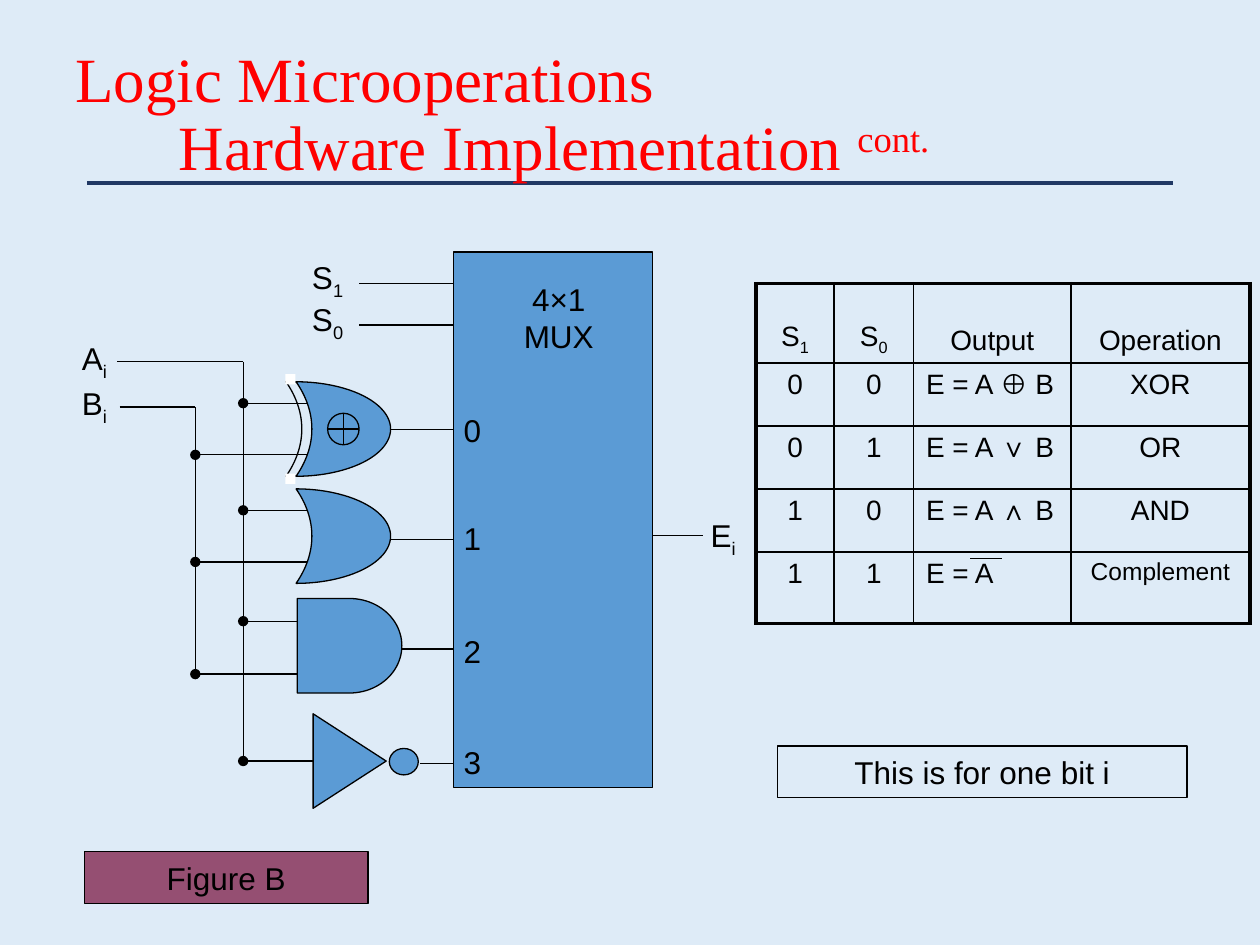
from lxml.etree import SubElement
from pptx import Presentation
from pptx.dml.color import RGBColor
from pptx.enum.shapes import MSO_CONNECTOR, MSO_SHAPE
from pptx.enum.text import MSO_ANCHOR, PP_ALIGN
from pptx.oxml import parse_xml
from pptx.oxml.ns import nsdecls, qn
from pptx.util import Inches, Pt

BACKGROUND = RGBColor(0xDE, 0xEB, 0xF7)
NAVY = RGBColor(0x20, 0x38, 0x64)
RED = RGBColor(0xFF, 0, 0)
BLUE = RGBColor(0x5B, 0x9B, 0xD5)
PLUM = RGBColor(0x95, 0x4F, 0x72)
BLACK = RGBColor(0, 0, 0)
WHITE = RGBColor(0xFF, 0xFF, 0xFF)

COLS, ROWS = 100, 75  # slide grid, one cell is a tenth of an inch
A_BUS, B_BUS = 19.3, 15.5
GATE_X, MUX_X, MUX_W = 23.5, 36, 15.8
GATE_SIZE = 7.5
THIN, THICK = 1, 2.25


def u(n):
    return int(n * Inches(10) / COLS)


def box_of(*cells):
    return [u(n) for n in cells]


def add_runs(p, parts, **fmt):
    """Write (text, baseline percent) parts; a newline is a line break."""
    fmt = {"name": "Arial", "size": Pt(18), **fmt}
    color = fmt.pop("color", BLACK)
    for text, baseline in parts:
        for i, piece in enumerate(text.split("\n")):
            if i:
                p.add_line_break()
            r = p.add_run()
            r.text = piece
            for key, value in fmt.items():
                setattr(r.font, key, value)
            r.font.color.rgb = color
            if baseline:
                r._r.get_or_add_rPr().set("baseline", str(baseline * 1000))


def add_label(s, x, y, w, h, text, sub=""):
    tf = s.shapes.add_textbox(*box_of(x, y, w, h)).text_frame
    tf.word_wrap = True
    p = tf.paragraphs[0]
    p.alignment = PP_ALIGN.CENTER
    add_runs(p, [(text, 0)] + ([(sub, -25)] if sub else []))


def add_wire(s, x1, y1, x2, y2, dot=False, color=BLACK, width=0.75):
    sp = s.shapes.add_connector(MSO_CONNECTOR.STRAIGHT, *box_of(x1, y1, x2, y2))
    sp.line.color.rgb = color
    sp.line.width = Pt(width)
    if dot:
        SubElement(sp.line._get_or_add_ln(), qn("a:tailEnd"), type="oval")
    SubElement(sp._element.spPr, qn("a:effectLst"))


def add_block(s, kind, x, y, w, h, fill=BLUE, line=BLACK, rotation=0, adj=None):
    sp = s.shapes.add_shape(kind, *box_of(x, y, w, h))
    sp.shadow.inherit = False
    sp.rotation = rotation
    if adj:
        sp.adjustments[0] = adj
    if fill is None:
        sp.fill.background()
    else:
        sp.fill.solid()
        sp.fill.fore_color.rgb = fill
    if line is None:
        sp.line.fill.background()
    else:
        sp.line.color.rgb = line
        sp.line.width = Pt(0.75)
    return sp


def add_moon(s, x, y, fill=BLUE):
    add_block(s, MSO_SHAPE.MOON, x, y, GATE_SIZE, GATE_SIZE, fill, rotation=180, adj=0.833)


def add_caption(s, x, y, w, text, fill=None):
    sp = add_block(s, MSO_SHAPE.RECTANGLE, x, y, w, 4.1, fill)
    p = sp.text_frame.paragraphs[0]
    p.alignment = PP_ALIGN.CENTER
    add_runs(p, [(text, 0)])


def set_borders(cell, widths):
    tc_pr = cell._tc.get_or_add_tcPr()
    for i, (side, width) in enumerate(zip("LRTB", widths)):
        tc_pr.insert(i, parse_xml(
            f'<a:ln{side} {nsdecls("a")} w="{Pt(width)}"><a:solidFill>'
            f'<a:srgbClr val="{BLACK}"/></a:solidFill></a:ln{side}>'))


def add_title(s):
    add_wire(s, 6.9, 14.5, 93.1, 14.5, color=NAVY, width=THICK)
    tf = s.shapes.add_textbox(*box_of(5, 3, 90, 12.5)).text_frame
    tf.word_wrap = True
    tf.vertical_anchor = MSO_ANCHOR.MIDDLE
    p = tf.paragraphs[0]
    p.line_spacing = 0.9
    p_pr = p._p.get_or_add_pPr()
    p_pr.set("marL", str(u(8.2)))
    p_pr.set("indent", str(-u(8.2)))
    add_runs(p, [("Logic Microoperations\nHardware Implementation ", 0), ("cont.", 30)],
             name="Times New Roman", size=Pt(36), color=RED)


def add_truth_table(s):
    rows = [
        ("S1", "S0", "Output", "Operation"),
        ("0", "0", "E = A ⊕ B", "XOR"),
        ("0", "1", "E = A ∨ B", "OR"),
        ("1", "0", "E = A ∧ B", "AND"),
        ("1", "1", "E = A", "Complement"),
    ]
    widths, heights = (6.2, 6.3, 12.5, 14.2), (6.3, 5, 5, 5, 5.7)
    last_row, last_col = len(rows) - 1, len(widths) - 1
    table = s.shapes.add_table(len(rows), len(widths),
                               *box_of(60, 22.5, sum(widths), sum(heights))).table
    table.first_row = table.horz_banding = False
    for col, w in zip(table.columns, widths):
        col.width = u(w)
    for row, h in zip(table.rows, heights):
        row.height = u(h)
    for i, texts in enumerate(rows):
        for j, text in enumerate(texts):
            cell = table.cell(i, j)
            cell.fill.background()
            if i == 0:
                cell.vertical_anchor = MSO_ANCHOR.BOTTOM
            p = cell.text_frame.paragraphs[0]
            p.alignment = PP_ALIGN.LEFT if i and j == 2 else PP_ALIGN.CENTER
            parts = [("S", 0), (text[1:], -25)] if i == 0 and j < 2 else [(text, 0)]
            add_runs(p, parts, size=Pt(14 if text == "Complement" else 16))
            outer = (j == 0, j == last_col, i == 0, i == last_row)
            set_borders(cell, [THICK if edge else THIN for edge in outer])
    # Bar over the complemented A
    add_wire(s, 77, 44.3, 79.5, 44.3)


def add_wiring(s):
    # Gate inputs (A, B) tapped from the buses, and gate outputs
    for a_y, b_y, out_x, out_y in ((32, 36.1, 31, 34.1), (40.5, 44.6, 31, 42.8),
                                   (49.3, 53.5, 31.9, 51.5)):
        add_wire(s, GATE_X + 0.9, a_y, A_BUS, a_y, dot=True)
        add_wire(s, GATE_X + 0.9, b_y, B_BUS, b_y, dot=True)
        add_wire(s, MUX_X, out_y, out_x, out_y)
    add_wire(s, 25.3, 60.4, A_BUS, 60.4, dot=True)
    add_wire(s, MUX_X, 60.6, 33.3, 60.6)
    # Buses with their sources
    for name, bus, x, y, bottom in (("A", A_BUS, 9.3, 28.7, 60.4),
                                    ("B", B_BUS, 9.5, 32.3, 53.5)):
        add_wire(s, x, y, bus, y)
        add_wire(s, bus, y, bus, bottom)
        add_label(s, 5, y - 2.3, 5, 4, name, "i")


def add_gates(s):
    # XOR: a second outline behind, its tips trimmed
    add_moon(s, GATE_X - 0.8, 30.3, fill=None)
    add_moon(s, GATE_X, 30.3)
    for y in (29.7, 37.6):
        add_block(s, MSO_SHAPE.RECTANGLE, 22.65, y, 0.8, 0.8, WHITE, line=None)
    add_block(s, MSO_SHAPE.FLOWCHART_OR, 26, 32.8, 2.5, 2.5)
    # OR, AND, NOT
    add_moon(s, GATE_X, 38.8)
    add_block(s, MSO_SHAPE.FLOWCHART_DELAY, 23.6, 47.5, 8.3, GATE_SIZE)
    add_block(s, MSO_SHAPE.FLOWCHART_MERGE, 24, 57.5, GATE_SIZE, 5.8, rotation=270)
    add_block(s, MSO_SHAPE.FLOWCHART_CONNECTOR, 30.9, 59.4, 2.3, 2.1)


def add_multiplexer(s):
    add_block(s, MSO_SHAPE.RECTANGLE, MUX_X, 20, MUX_W, 42.5)
    add_label(s, 40.2, 21.7, 8.3, 7, "4×1 MUX")
    for i, y in enumerate((32.1, 40.7, 49.7, 58.5)):
        add_label(s, 35, y, 5, 4, str(i))
    # Select lines and output
    for sub, y in (("1", 22.5), ("0", 25.8)):
        add_wire(s, MUX_X, y, 28.5, y)
        add_label(s, 23.5, y - 2.5, 5, 4, "S", sub)
    add_wire(s, MUX_X + MUX_W, 42.5, 55.8, 42.5)
    add_label(s, 53.5, 40.5, 7.8, 4, "E", "i")


def main():
    prs = Presentation()
    prs.slide_width, prs.slide_height = u(COLS), u(ROWS)
    s = prs.slides.add_slide(prs.slide_layouts[6])
    s.background.fill.solid()
    s.background.fill.fore_color.rgb = BACKGROUND
    add_title(s)
    add_truth_table(s)
    add_wiring(s)
    add_gates(s)
    add_multiplexer(s)
    add_caption(s, 61.7, 59.2, 32.5, "This is for one bit i")
    add_caption(s, 6.7, 67.6, 22.5, "Figure B", PLUM)
    prs.save("out.pptx")


if __name__ == "__main__":
    main()
